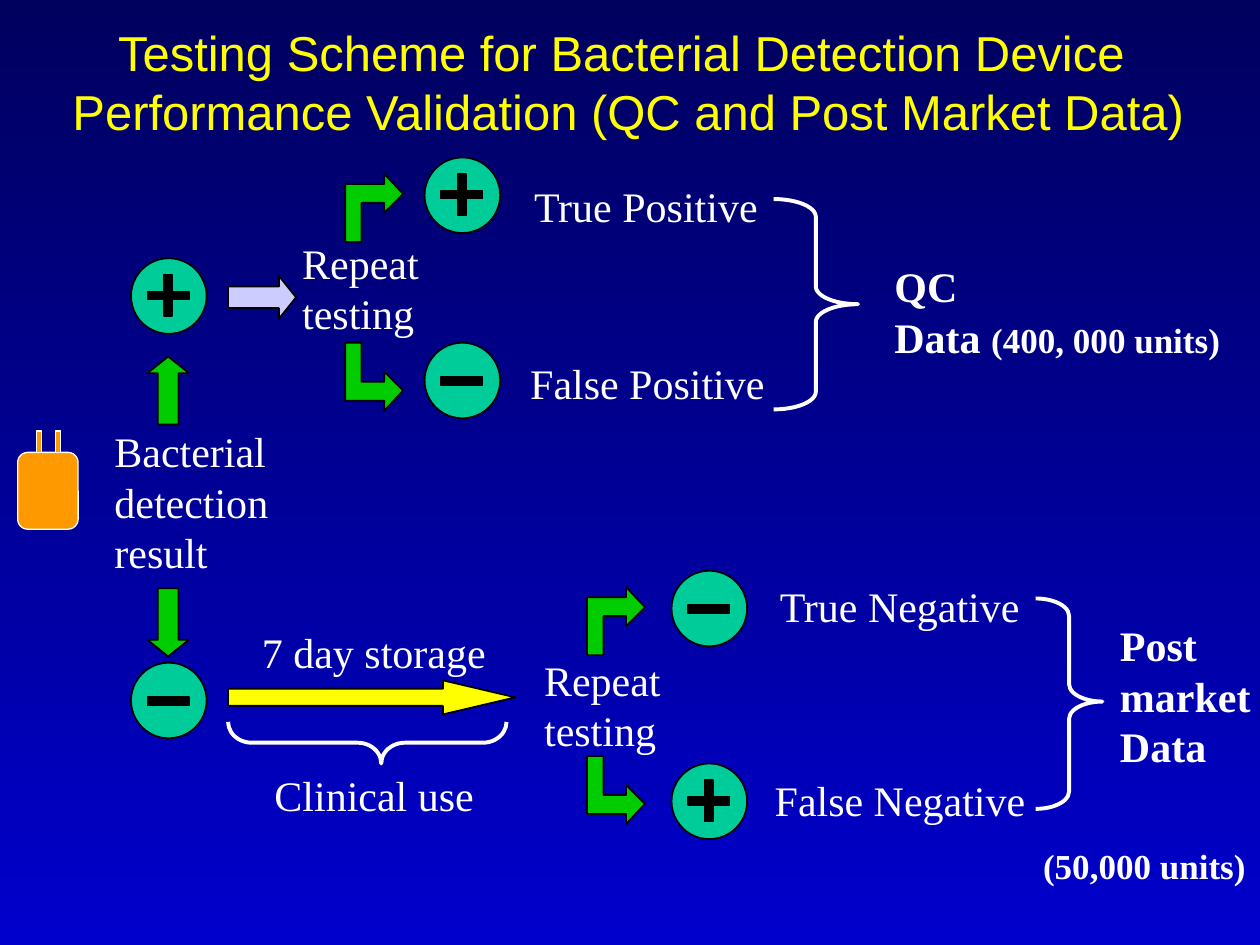
import pptx
import pptx.util
import pptx.dml.color
import pptx.enum.shapes
import pptx.enum.text

Inches = pptx.util.Inches
Pt = pptx.util.Pt
KIND = pptx.enum.shapes.MSO_SHAPE
ALIGN = pptx.enum.text.PP_ALIGN
GREEN, TEAL, BLACK, WHITE = "00CC00", "00CC99", "000000", "FFFFFF"
SERIF = "Times New Roman"


def color(code):
    """Turn a hex string into a colour."""
    return pptx.dml.color.RGBColor.from_string(code)


def paint(shape, fill, line=BLACK, width=1):
    """Set fill and outline and drop the shadow."""
    shape.shadow.inherit = False
    if fill:
        shape.fill.solid()
        shape.fill.fore_color.rgb = color(fill)
    else:
        shape.fill.background()
    shape.line.color.rgb = color(line)
    shape.line.width = Pt(width)


def add(slide, kind, box, fill, line=BLACK, width=1, adjust=()):
    """Add a painted preset shape in a box."""
    shape = slide.shapes.add_shape(kind, *map(Inches, box))
    for i, value in enumerate(adjust):
        shape.adjustments[i] = value
    paint(shape, fill, line, width)
    return shape


def style(run, size, bold, font, ink):
    """Format one run of text."""
    run.font.name = font
    run.font.size = Pt(size)
    run.font.bold = bold
    run.font.color.rgb = color(ink)


def write(slide, box, lines, size=24, bold=False, font=SERIF, ink=WHITE, align=ALIGN.LEFT):
    """Write unwrapped lines of text, one paragraph each."""
    frame = slide.shapes.add_textbox(*map(Inches, box)).text_frame
    frame.word_wrap = False
    frame.auto_size = pptx.enum.text.MSO_AUTO_SIZE.SHAPE_TO_FIT_TEXT
    frame.text = "\n".join(lines)
    for para in frame.paragraphs:
        para.alignment = align
        para.line_spacing = Pt(size * 1.2)
        for run in para.runs:
            style(run, size, bold, font, ink)
    return frame


def badge(slide, left, top, sign):
    """Draw a round plus or minus sign."""
    add(slide, KIND.OVAL, (left, top, 0.6, 0.6), TEAL)
    if sign == "+":
        add(slide, KIND.CROSS, (left + 0.13, top + 0.13, 0.33, 0.33), BLACK, adjust=[0.404])
    else:
        add(slide, KIND.RECTANGLE, (left + 0.13, top + 0.27, 0.33, 0.07), BLACK)


def turn(slide, left, top, down=False):
    """Draw a bent arrow that ends pointing right."""
    points = [(0, 0.54), (0.13, 0.54), (0.13, 0.23), (0.31, 0.23), (0.31, 0.31),
              (0.46, 0.16), (0.31, 0), (0.31, 0.08), (0, 0.08)]
    spots = [(Inches(left + x), Inches(top + (0.54 - y if down else y))) for x, y in points]
    pen = slide.shapes.build_freeform(*spots[0])
    pen.add_line_segments(spots[1:], close=True)
    paint(pen.convert_to_shape(), GREEN)


def brace(slide, box, curve, point):
    """Draw a white right brace."""
    return add(slide, KIND.RIGHT_BRACE, box, None, WHITE, 2.25, (curve, point))


def fork(slide, box, rows):
    """Draw repeat testing with its two outcomes."""
    left, top, width, height = box
    write(slide, (left, top + (height - 0.9) / 2, 1.21, 0.9), ["Repeat", "testing"])
    for i, (sign, label, gap, drop, span) in enumerate(rows):
        turn(slide, left + 0.44, top + 0.13 + 1.34 * i, i == 1)
        high = top + (height - 0.6) * i
        badge(slide, left + width - 0.6, high, sign)
        write(slide, (left + width + gap, high + drop, span, 0.5), [label])


def bag(slide, left, top):
    """Draw the blood bag with its two ports."""
    add(slide, KIND.ROUNDED_RECTANGLE, (left, top + 0.17, 0.48, 0.61), "FF9900", WHITE, 0.75)
    for x in (0.15, 0.3):
        add(slide, KIND.RECTANGLE, (left + x, top, 0.04, 0.17), "FF9900", WHITE, 0.75)


def start(slide, left, top):
    """Draw the first test and its two results."""
    bag(slide, left, top + 1.37)
    write(slide, (left + 0.67, top + 1.28, 1.48, 1.3), ["Bacterial", "detection", "result"])
    badge(slide, left + 0.9, top, "+")
    badge(slide, left + 0.9, top + 3.21, "-")
    for kind, drop in ((KIND.UP_ARROW, 0.78), (KIND.DOWN_ARROW, 2.62)):
        add(slide, kind, (left + 1.03, top + drop, 0.33, 0.54), GREEN, adjust=(0.5, 0.4))
    add(slide, KIND.RIGHT_ARROW, (left + 1.67, top + 0.14, 0.54, 0.34), "CCCCFF", adjust=(0.5, 0.4))


def store(slide, left, top):
    """Draw the storage arrow and the clinical use brace."""
    write(slide, (left + 0.17, top, 2, 0.5), ["7 day storage"])
    add(slide, KIND.RIGHT_ARROW, (left, top + 0.48, 2.28, 0.27), "FFFF00", adjust=(0.5, 2.127))
    brace(slide, (left + 0.94, top - 0.13, 0.33, 2.21), 0.57, 0.45).rotation = 90
    write(slide, (left + 0.27, top + 1.14, 1.78, 0.5), ["Clinical use"])


def quality(slide, left, top):
    """Draw the quality control summary."""
    brace(slide, (left, top, 0.67, 1.67), 0.21, 0.5)
    frame = write(slide, (left + 0.86, top + 0.44, 2.82, 0.9), ["QC", "Data "], bold=True)
    run = frame.paragraphs[1].add_run()
    run.text = "(400, 000 units)"
    style(run, 20, True, SERIF, WHITE)


def market(slide, left, top):
    """Draw the post market summary."""
    brace(slide, (left, top, 0.53, 1.67), 0.26, 0.49)
    write(slide, (left + 0.57, top + 0.12, 1.32, 1.3), ["Post", "market", "Data"], bold=True)
    write(slide, (left - 0.04, top + 1.9, 1.81, 0.77), ["(50,000 units)"], 20, True)


def main():
    """Build and save the slide."""
    deck = pptx.Presentation()
    deck.slide_width, deck.slide_height = Inches(10), Inches(7.5)
    slide = deck.slides.add_slide(deck.slide_layouts[6])
    back = slide.background.fill
    back.gradient()
    back.gradient_angle = 270
    for stop, code in zip(back.gradient_stops, ("00005E", "0000CC")):
        stop.color.rgb = color(code)
    write(slide, (0.46, 0.13, 9.05, 1.04),
          ["Testing Scheme for Bacterial Detection Device ",
           "Performance Validation (QC and Post Market Data)"],
          28, font="Arial", ink="FFFF00", align=ALIGN.CENTER)
    start(slide, 0.14, 2.05)
    fork(slide, (2.3, 1.25, 1.67, 2.07),
         [("+", "True Positive", 0.17, 0.13, 1.98), ("-", "False Positive", 0.14, 0.07, 2.06)])
    store(slide, 1.81, 4.92)
    fork(slide, (4.22, 4.53, 1.71, 2.13),
         [("-", "True Negative", 0.16, 0.03, 2.11), ("+", "False Negative", 0.12, 0.04, 2.19)])
    quality(slide, 6.14, 1.58)
    market(slide, 8.22, 4.75)
    deck.save("out.pptx")


if __name__ == "__main__":
    main()
